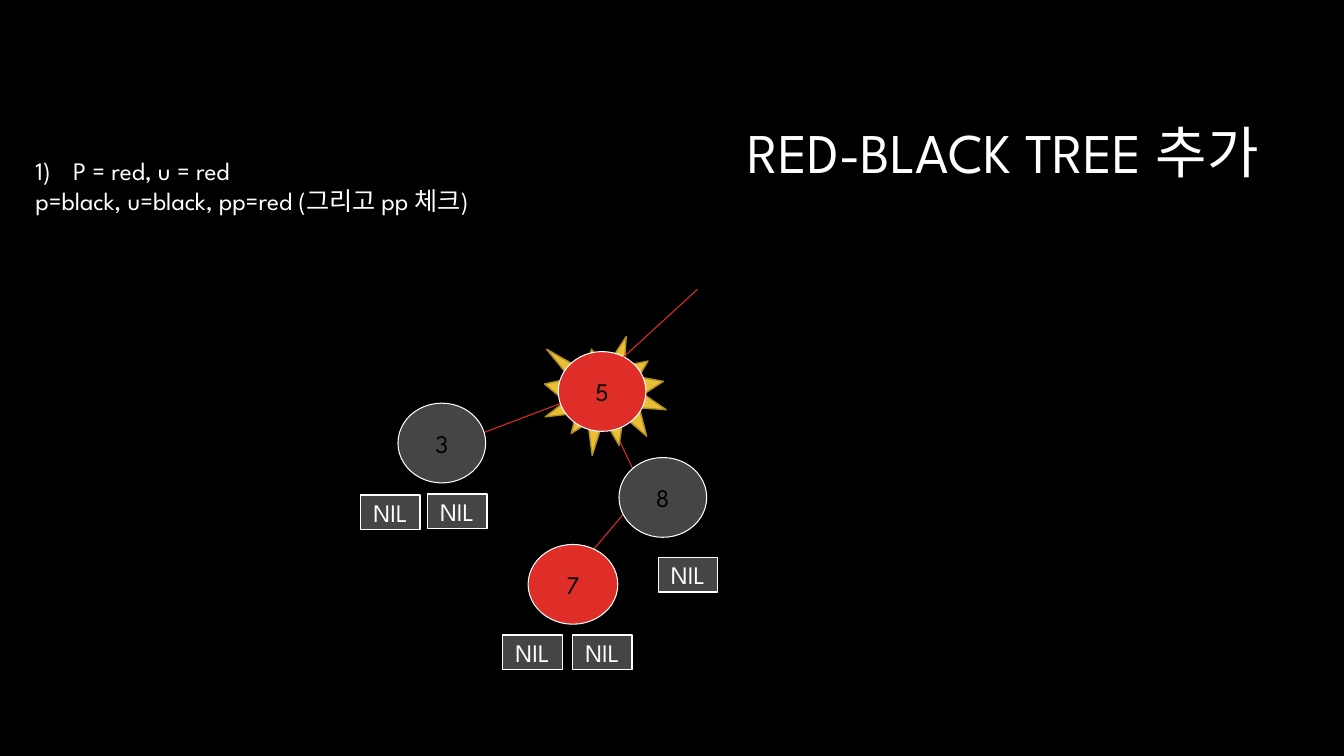
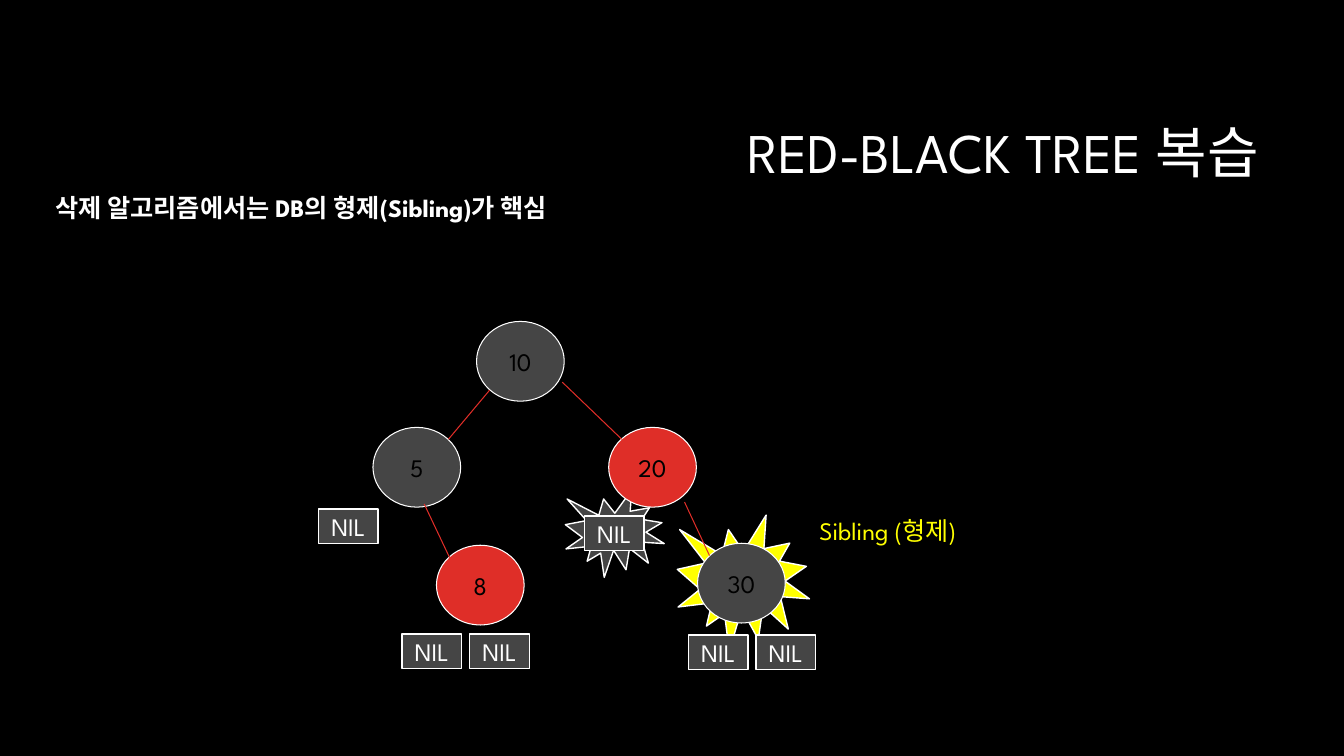
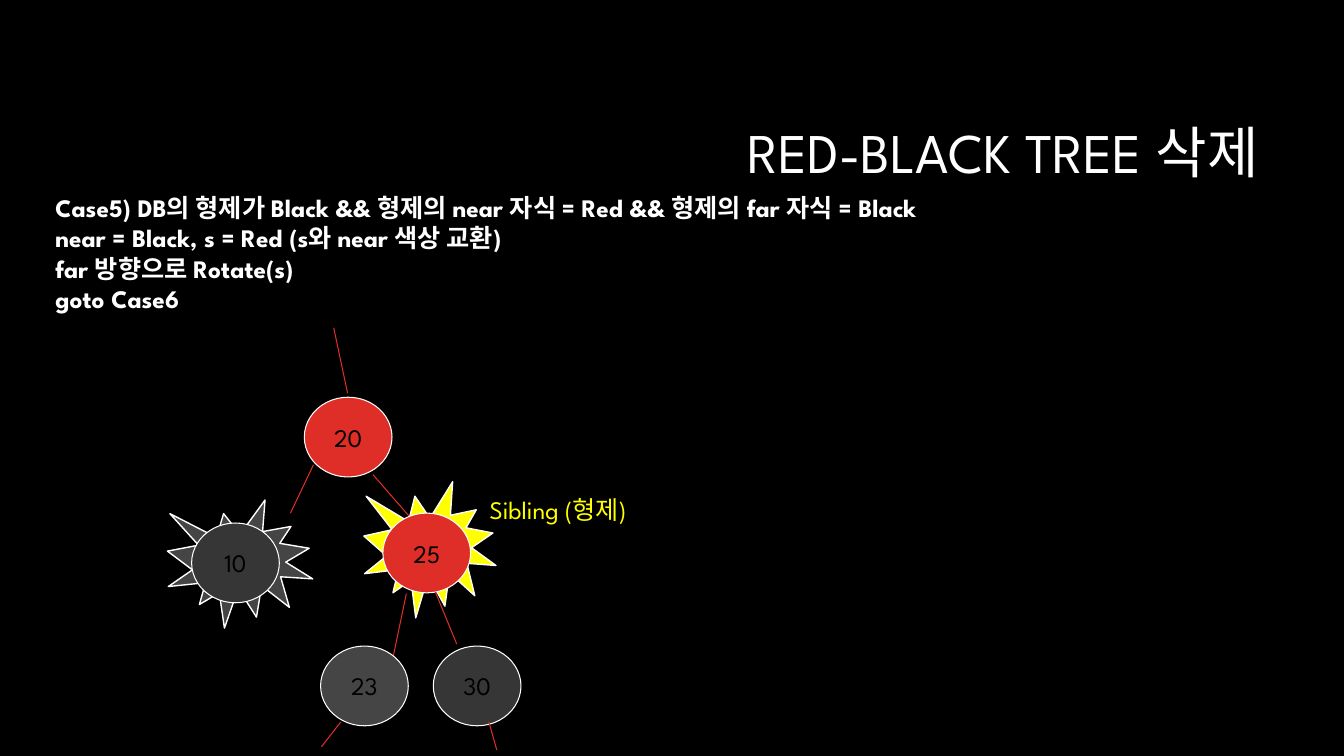
from dataclasses import dataclass
from typing import Optional, Union

from lxml.etree import SubElement
from pptx import Presentation
from pptx.dml.color import RGBColor
from pptx.enum.shapes import MSO_CONNECTOR, MSO_SHAPE
from pptx.enum.text import MSO_ANCHOR as Anchor, MSO_AUTO_SIZE as AutoSize, PP_ALIGN as Align
from pptx.oxml.ns import qn
from pptx.util import Cm, Pt


@dataclass(frozen=True)
class Theme:
    font: str = "League Spartan"
    title_size: float = 40
    text_size: float = 18
    background: str = "000000"
    light: str = "FFFFFF"
    ink: str = "000000"
    red: str = "DF2E28"
    black: str = "454545"
    dark: str = "363636"
    gold: str = "E9BF35"
    gold_edge: str = "AC8D27"
    sibling: str = "FFFF00"
    thin: float = 0.75
    outline: float = 1


THEME = Theme()
TITLE_BOX = (8.05, 2.13, 23.93, 3.58)
NODE_WIDTH, NODE_HEIGHT = 2.21, 2.01
NIL_WIDTH, NIL_HEIGHT = 1.5, 0.87
LABEL_WIDTH, LABEL_HEIGHT = 10.49, 1.02
NUMBER_INDENT = 0.95


@dataclass(frozen=True)
class Edge:
    x1: float
    y1: float
    x2: float
    y2: float


@dataclass(frozen=True)
class Node:
    key: str
    left: float
    top: float
    fill: str
    width: float = NODE_WIDTH


@dataclass(frozen=True)
class Nil:
    left: float
    top: float


@dataclass(frozen=True)
class Burst:
    left: float
    top: float
    width: float
    height: float
    fill: str
    edge: str = THEME.light


@dataclass(frozen=True)
class SiblingLabel:
    left: float
    top: float


Element = Union[Edge, Node, Nil, Burst, SiblingLabel]


@dataclass(frozen=True)
class Rules:
    lines: tuple[str, ...]
    box: tuple[float, float, float, float]
    bold: bool = True
    numbered: int = 0


@dataclass(frozen=True)
class TreeSlide:
    title: str
    rules: Rules
    tree: tuple[Element, ...]


TREE_SLIDES = (
    TreeSlide(
        "RED-BLACK TREE 추가",
        Rules(("P = red, u = red", "p=black, u=black, pp=red (그리고 pp 체크)"),
              (0.64, 3.78, 16.94, 2.57), bold=False, numbered=1),
        (
            Edge(15.44, 10.74, 16.08, 12.09),
            Edge(15.95, 12.67, 14.88, 13.94),
            Edge(14.22, 10.13, 12.14, 10.92),
            Nil(12.67, 16), Nil(14.43, 16), Nil(16.59, 14.05),
            Nil(9.09, 12.47), Nil(10.77, 12.45),
            Node("7", 13.31, 13.72, THEME.red, width=2.26),
            Node("8", 15.6, 11.53, THEME.black),
            Node("3", 10.03, 10.16, THEME.black),
            Burst(13.72, 8.48, 3.07, 3, THEME.gold, THEME.gold_edge),
            Node("5", 14.07, 8.86, THEME.red),
            Edge(17.58, 7.29, 15.67, 9.04),
        ),
    ),
    TreeSlide(
        "RED-BLACK TREE 복습",
        Rules(("삭제 알고리즘에서는 DB의 형제(Sibling)가 핵심",), (1.14, 4.72, 17.15, 1.02)),
        (
            Burst(17.07, 12.98, 3.33, 3.43, THEME.sibling),
            Burst(14.25, 12.34, 2.49, 2.21, THEME.black),
            Node("20", 15.34, 10.77, THEME.red),
            Node("5", 9.4, 10.77, THEME.black),
            Node("10", 12.01, 8.1, THEME.black),
            Node("30", 17.58, 13.69, THEME.black),
            Node("8", 11, 13.74, THEME.red),
            Edge(12.34, 9.83, 11.3, 11.07),
            Edge(17.25, 12.65, 17.88, 14),
            Edge(14.17, 9.63, 15.67, 11.07),
            Edge(10.69, 12.7, 11.33, 14.05),
            Nil(8.03, 12.83), Nil(14.73, 13),
            Nil(10.13, 15.98), Nil(11.84, 15.98),
            Nil(17.35, 16), Nil(19.05, 16),
            SiblingLabel(20.4, 12.85),
        ),
    ),
    TreeSlide(
        "RED-BLACK TREE 삭제",
        Rules(("Case5) DB의 형제가 Black && 형제의 near 자식 = Red && 형제의 far 자식 = Black",
               "near = Black, s = Red (s와 near 색상 교환)",
               "far 방향으로 Rotate(s)",
               "goto Case6"),
              (1.14, 4.72, 30.15, 3.33)),
        (
            Burst(9.17, 12.14, 3.33, 3.43, THEME.sibling),
            Burst(4.22, 12.6, 3.66, 3.23, THEME.black),
            Node("20", 7.67, 10.01, THEME.red),
            Node("10", 4.83, 13.18, THEME.dark),
            Edge(7.9, 11.71, 7.32, 12.93),
            Edge(9.4, 11.96, 10.46, 13.18),
            Node("25", 9.65, 12.93, THEME.red),
            Edge(10.24, 14.96, 9.91, 16.54),
            Edge(10.97, 14.91, 11.51, 16.23),
            SiblingLabel(12.09, 12.32),
            Node("23", 8.08, 16.28, THEME.black),
            Node("30", 10.92, 16.28, THEME.dark),
            Edge(8.41, 8.26, 8.76, 9.91),
            Edge(8.59, 18.19, 8.1, 18.82),
            Edge(12.32, 18.19, 12.52, 18.9),
        ),
    ),
)


def rgb(value: str) -> RGBColor:
    return RGBColor.from_string(value)


def place(shape, left: float, top: float, width: float, height: float) -> None:
    shape.left, shape.top, shape.width, shape.height = map(Cm, (left, top, width, height))


def write(frame, *lines: str, size: float = THEME.text_size, color: str = THEME.light,
          bold: bool = False, align=Align.LEFT, anchor=Anchor.TOP, spacing: float = 1) -> None:
    frame.word_wrap = True
    frame.auto_size = AutoSize.NONE
    frame.vertical_anchor = anchor
    for index, line in enumerate(lines):
        paragraph = frame.paragraphs[0] if index == 0 else frame.add_paragraph()
        paragraph.alignment = align
        paragraph.line_spacing = spacing
        paragraph.space_before = Pt(0)
        run = paragraph.add_run()
        run.text = line
        run.font.name = THEME.font
        run.font.size = Pt(size)
        run.font.bold = bold
        run.font.color.rgb = rgb(color)


def set_bullets(frame, numbered: int) -> None:
    for index, paragraph in enumerate(frame.paragraphs):
        properties = paragraph._p.get_or_add_pPr()
        indent = Cm(NUMBER_INDENT) if index < numbered else 0
        properties.set("marL", str(int(indent)))
        properties.set("indent", str(-int(indent)))
        if index < numbered:
            SubElement(properties, qn("a:buFont")).set("typeface", THEME.font)
            SubElement(properties, qn("a:buAutoNum")).set("type", "arabicParenR")
        else:
            SubElement(properties, qn("a:buNone"))


def add_figure(slide, kind, box: tuple[float, float, float, float], *, fill: str,
               edge: str = THEME.light, weight: float = THEME.outline,
               text: Optional[str] = None, color: str = THEME.light) -> None:
    figure = slide.shapes.add_shape(kind, *map(Cm, box))
    figure.shadow.inherit = False
    figure.fill.solid()
    figure.fill.fore_color.rgb = rgb(fill)
    figure.line.color.rgb = rgb(edge)
    figure.line.width = Pt(weight)
    if text:
        frame = figure.text_frame
        frame.margin_left = frame.margin_right = 0
        write(frame, text, color=color, align=Align.CENTER, anchor=Anchor.MIDDLE)


def add_edge(slide, edge: Edge) -> None:
    branch = slide.shapes.add_connector(
        MSO_CONNECTOR.STRAIGHT, *map(Cm, (edge.x1, edge.y1, edge.x2, edge.y2)))
    branch.line.color.rgb = rgb(THEME.red)
    branch.line.width = Pt(THEME.thin)
    SubElement(branch._element.spPr, qn("a:effectLst"))


def draw(slide, element: Element) -> None:
    match element:
        case Edge():
            add_edge(slide, element)
        case Node(key, left, top, fill, width):
            add_figure(slide, MSO_SHAPE.OVAL, (left, top, width, NODE_HEIGHT), fill=fill,
                       weight=THEME.thin, text=key, color=THEME.ink)
        case Nil(left, top):
            add_figure(slide, MSO_SHAPE.RECTANGLE, (left, top, NIL_WIDTH, NIL_HEIGHT),
                       fill=THEME.black, text="NIL")
        case Burst(left, top, width, height, fill, edge):
            add_figure(slide, MSO_SHAPE.EXPLOSION1, (left, top, width, height),
                       fill=fill, edge=edge)
        case SiblingLabel(left, top):
            label = slide.shapes.add_textbox(*map(Cm, (left, top, LABEL_WIDTH, LABEL_HEIGHT)))
            write(label.text_frame, "Sibling (형제)", color=THEME.sibling)


def build_slide(prs, content: TreeSlide) -> None:
    slide = prs.slides.add_slide(prs.slide_layouts[1])
    title, rules = slide.placeholders
    place(title, *TITLE_BOX)
    write(title.text_frame, content.title, size=THEME.title_size, align=Align.RIGHT,
          anchor=Anchor.MIDDLE, spacing=0.9)
    place(rules, *content.rules.box)
    write(rules.text_frame, *content.rules.lines, bold=content.rules.bold)
    set_bullets(rules.text_frame, content.rules.numbered)
    for element in content.tree:
        draw(slide, element)


def main() -> None:
    prs = Presentation()
    prs.slide_width, prs.slide_height = Cm(33.87), Cm(19.05)
    backdrop = prs.slide_master.background.fill
    backdrop.solid()
    backdrop.fore_color.rgb = rgb(THEME.background)
    for content in TREE_SLIDES:
        build_slide(prs, content)
    prs.save("out.pptx")


if __name__ == "__main__":
    main()
